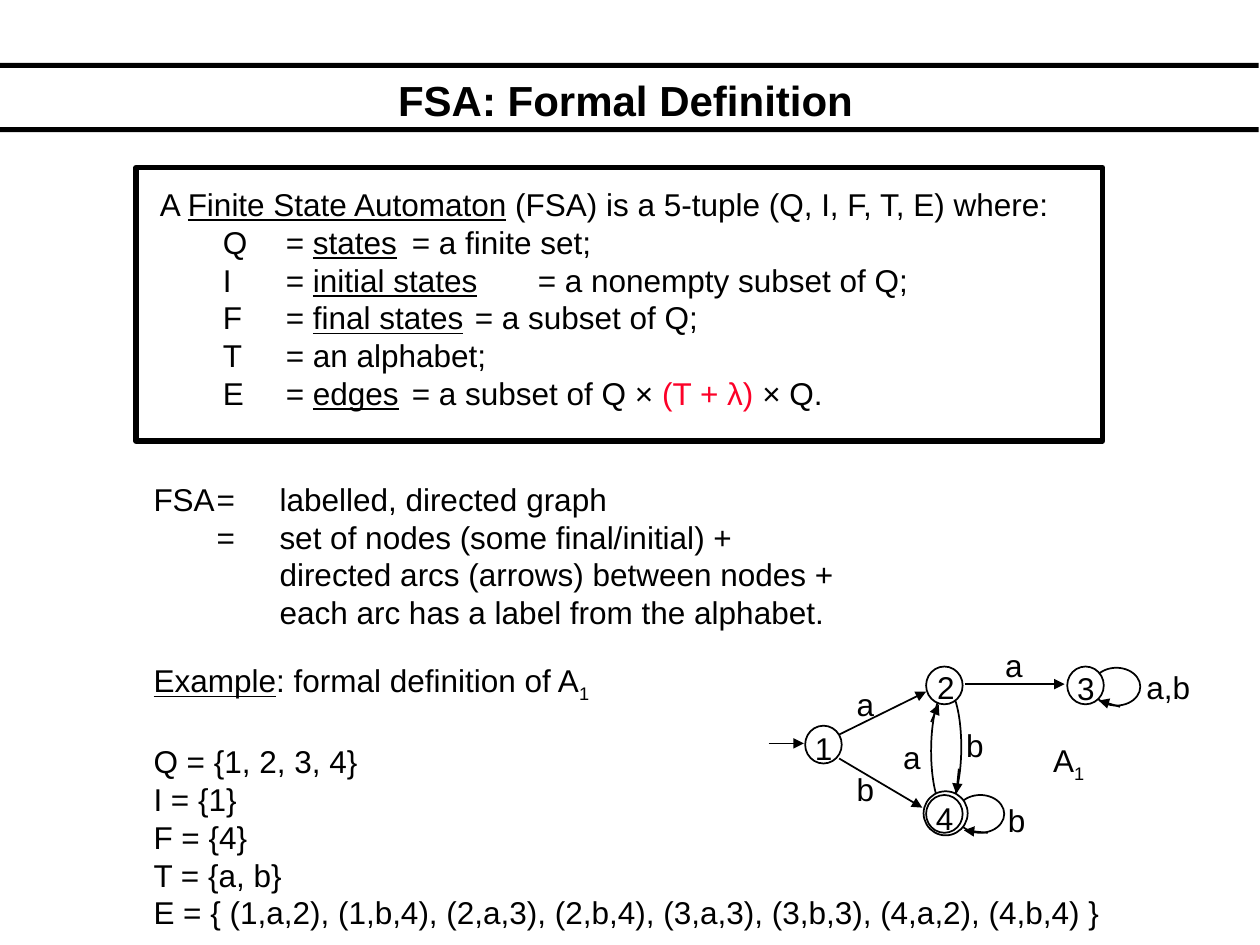
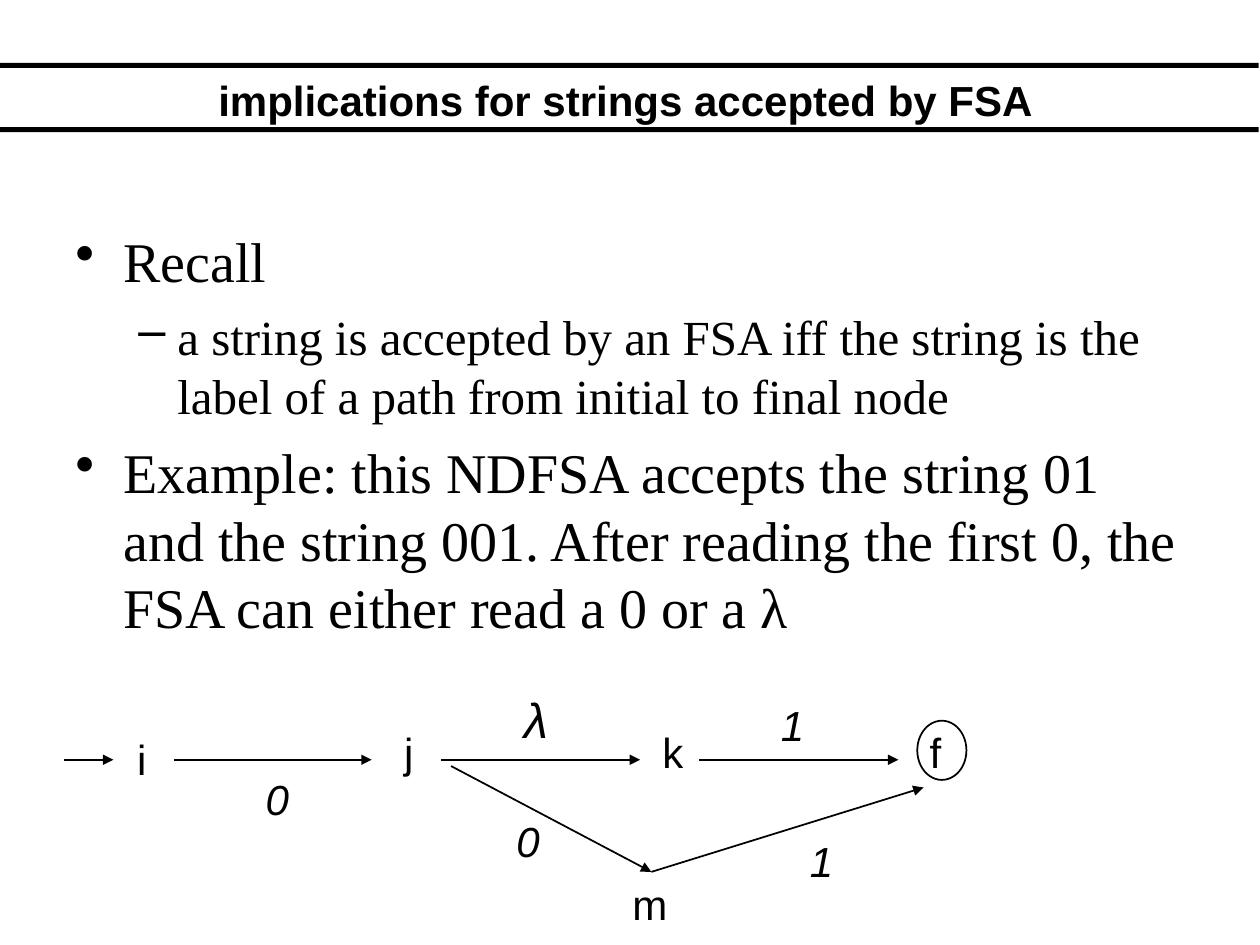
from pptx import Presentation
from pptx.dml.color import RGBColor
from pptx.enum.shapes import MSO_CONNECTOR as CONN, MSO_SHAPE as SHAPE
from pptx.enum.text import MSO_ANCHOR as ANCHOR, PP_ALIGN as ALIGN
from pptx.oxml.ns import qn
from pptx.util import Inches, Pt
from lxml.etree import SubElement

BLACK, WHITE, RED = "000000", "FFFFFF", "FC0128"
SANS, SERIF = "Arial", "Times New Roman"
U, I, SUB = {"u": True}, {"i": True}, {"base": -25000}
BANDS = [0.5, 1.01]

DEFINITION = [
    [("A ", {}), ("Finite State Automaton", U),
     (" (FSA) is a 5-tuple (Q, I, F, T, E) where:", {})],
    [("Q\t= ", {}), ("states", U), ("\t= a finite set;", {})],
    [("I\t= ", {}), ("initial states", U), ("\t= a nonempty subset of Q;", {})],
    [("F\t= ", {}), ("final states", U), ("\t= a subset of Q;", {})],
    [("T\t= an alphabet;", {})],
    [("E\t= ", {}), ("edges", U), ("\t= a subset of Q × ", {}),
     ("(T + λ) ", {"c": RED}), ("× Q.", {})],
]
GRAPH = [
    "FSA\t=\tlabelled, directed graph",
    "\t=\tset of nodes (some final/initial) +",
    "\t\tdirected arcs (arrows) between nodes +",
    "\t\teach arc has a label from the alphabet.",
]
EXAMPLE = [("Example", U), (": formal definition of A", {}), ("1", SUB)]
SETS = [
    "Q = {1, 2, 3, 4}",
    "I = {1}",
    "F = {4}",
    "T = {a, b}",
    "E = { (1,a,2), (1,b,4), (2,a,3), (2,b,4), (3,a,3), (3,b,3), (4,a,2), (4,b,4) }",
]
LOOPS = [(7.59, 6.31), (8.67, 5.3)]
ARCS = [(7.39, 5.48, 90, 270), (7.37, 5.45, 270, 90)]
NODES = [(6.39, 5.76), (7.35, 5.29), (8.47, 5.29), (7.35, 6.31)]
FINAL_RING = (7.33, 6.28, 0.35, 0.35)
A1_ARROWS = [
    (6.1, 5.9, 6.38, 5.9), (6.66, 5.83, 7.35, 5.49),
    (6.66, 6.02, 7.32, 6.41), (7.66, 5.43, 8.45, 5.43),
    (7.39, 5.73, 7.45, 5.59), (7.61, 6.1, 7.59, 6.3),
    (7.84, 6.61, 7.65, 6.59), (8.89, 5.61, 8.72, 5.56),
]
A1_LABELS = [
    ("1", 6.37, 5.74), ("2", 7.34, 5.25), ("3", 8.45, 5.26), ("4", 7.33, 6.29),
    ("a", 6.7, 5.39), ("b", 6.7, 6.06), ("b", 7.57, 5.71), ("b", 7.9, 6.31),
    ("a", 7.07, 5.81), ("a", 7.88, 5.08), ("a,b", 9, 5.25),
]

BULLETS = [
    (0, "Recall"),
    (1, "a string is accepted by an FSA iff the string is the label of a path "
        "from initial to final node"),
    (0, "Example: this NDFSA accepts the string 01 and the string 001. After "
        "reading the first 0, the FSA can either read a 0 or a λ"),
]
LEVELS = [
    {"size": 32, "left": 0.38, "hang": 0.38, "bullet": "•", "before": 8},
    {"size": 28, "left": 0.81, "hang": 0.31, "bullet": "–", "before": 7},
]
STATES = [("i", 0.99, 5.77), ("j", 3.11, 5.72), ("k", 5.16, 5.72),
          ("f", 7.28, 5.72), ("m", 4.92, 6.92)]
SYMBOLS = [("0", 2.01, 6.09, 24), ("λ", 4.06, 5.42, 28), ("1", 6.1, 5.5, 24),
           ("0", 4, 6.42, 24), ("1", 6.33, 6.58, 24)]
PATH_ARROWS = [
    (0.51, 6.03, 0.9, 6.03), (1.38, 6.03, 2.95, 6.03),
    (3.5, 6.03, 5.08, 6.03), (5.55, 6.03, 7.13, 6.03),
    (3.58, 6.08, 5.17, 6.92), (5.17, 6.92, 7.33, 6.25),
]


def color(value):
    return RGBColor.from_string(value)


def add_shape(s, kind, box, fill=None, width=1):
    sp = s.shapes.add_shape(kind, *map(Inches, box))
    sp.shadow.inherit = False
    if fill:
        sp.fill.solid()
        sp.fill.fore_color.rgb = color(fill)
    else:
        sp.fill.background()
    if width:
        sp.line.color.rgb = color(BLACK)
        sp.line.width = Pt(width)
    else:
        sp.line.fill.background()
    return sp


def add_arrow(s, ends):
    c = s.shapes.add_connector(CONN.STRAIGHT, *map(Inches, ends))
    c.line.color.rgb = color(BLACK)
    c.line.width = Pt(1)
    SubElement(c.line._get_or_add_ln(), qn("a:tailEnd"), type="triangle")
    SubElement(c._element.spPr, qn("a:effectLst"))


def add_box(s, box, wrap=True):
    tf = s.shapes.add_textbox(*map(Inches, box)).text_frame
    tf.word_wrap = wrap
    return tf


def add_para(tf, runs, size=18, face=SANS, left=0, hang=0, bullet=None,
             tabs=(), before=0):
    first = not tf.paragraphs[0].runs
    p = tf.paragraphs[0] if first else tf.add_paragraph()
    pPr = p._p.get_or_add_pPr()
    pPr.set("marL", str(Inches(left)))
    pPr.set("indent", str(Inches(-hang)))
    if before and not first:
        p.space_before = Pt(before)
    if bullet:
        SubElement(pPr, qn("a:buChar"), char=bullet)
    if tabs:
        tab_list = SubElement(pPr, qn("a:tabLst"))
        for tab in tabs:
            SubElement(tab_list, qn("a:tab"), pos=str(Inches(tab)), algn="l")
    for text, style in runs:
        r = p.add_run()
        r.text = text
        r.font.name = face
        r.font.size = Pt(size)
        r.font.bold = style.get("b")
        r.font.italic = style.get("i")
        r.font.underline = style.get("u")
        r.font.color.rgb = color(style.get("c", BLACK))
        if "base" in style:
            r._r.get_or_add_rPr().set("baseline", str(style["base"]))
    return p


def add_slide(prs, title):
    s = prs.slides.add_slide(prs.slide_layouts[6])
    for top in BANDS:
        add_shape(s, SHAPE.RECTANGLE, (0, top, 9.99, 0.04), BLACK, 0)
    tf = add_box(s, (0.56, 0.53, 8.81, 0.52))
    tf.vertical_anchor = ANCHOR.MIDDLE
    add_para(tf, [(title, {"b": True})], 24).alignment = ALIGN.CENTER
    return s


def draw_automaton(s):
    for x, y in LOOPS:
        add_shape(s, SHAPE.OVAL, (x, y, 0.38, 0.3), WHITE)
    for x, y, start, end in ARCS:
        arc = add_shape(s, SHAPE.ARC, (x, y, 0.26, 0.96))
        arc.adjustments[0] = start * 0.6
        arc.adjustments[1] = end * 0.6
    add_shape(s, SHAPE.OVAL, FINAL_RING, WHITE)
    for x, y in NODES:
        add_shape(s, SHAPE.OVAL, (x, y, 0.29, 0.3), WHITE)
    for ends in A1_ARROWS:
        add_arrow(s, ends)
    for text, x, y in A1_LABELS:
        width = 0.34 if len(text) == 1 else 0.55
        add_para(add_box(s, (x, y, width, 0.4), False), [(text, {})])
    add_para(add_box(s, (8.26, 5.83, 0.45, 0.44), False),
             [("A", {}), ("1", SUB)])


def definition_slide(prs):
    s = add_slide(prs, "FSA: Formal Definition")
    tf = add_box(s, (1.17, 1.42, 7.67, 1.9))
    for n, runs in enumerate(DEFINITION):
        add_para(tf, runs, left=0.5 if n else 0, tabs=(0.84, 2.49))
    add_shape(s, SHAPE.RECTANGLE, (1.08, 1.33, 7.67, 2.17), width=3)
    tf = add_box(s, (1.12, 3.76, 8.72, 1.3))
    for text in GRAPH:
        add_para(tf, [(text, {})], tabs=(0.63, 1))
    tf = add_box(s, (1.12, 5.2, 8.55, 2.24))
    add_para(tf, EXAMPLE)
    for n, text in enumerate(SETS):
        add_para(tf, [(text, {})], before=0 if n else 21.6)
    draw_automaton(s)


def strings_slide(prs):
    s = add_slide(prs, "implications for strings accepted by FSA")
    tf = add_box(s, (0.5, 1.75, 9, 4.95))
    for level, text in BULLETS:
        add_para(tf, [(text, {})], face=SERIF, **LEVELS[level])
    for text, x, y in STATES:
        add_para(add_box(s, (x, y, 0.63, 0.5)), [(text, {})], 24)
    for text, x, y, size in SYMBOLS:
        add_para(add_box(s, (x, y, 0.63, 0.5)), [(text, I)], size)
    for ends in PATH_ARROWS:
        add_arrow(s, ends)
    add_shape(s, SHAPE.OVAL, (7.28, 5.72, 0.39, 0.47))


def main():
    prs = Presentation()
    prs.slide_width, prs.slide_height = Inches(10), Inches(7.5)
    definition_slide(prs)
    strings_slide(prs)
    prs.save("out.pptx")


if __name__ == "__main__":
    main()
